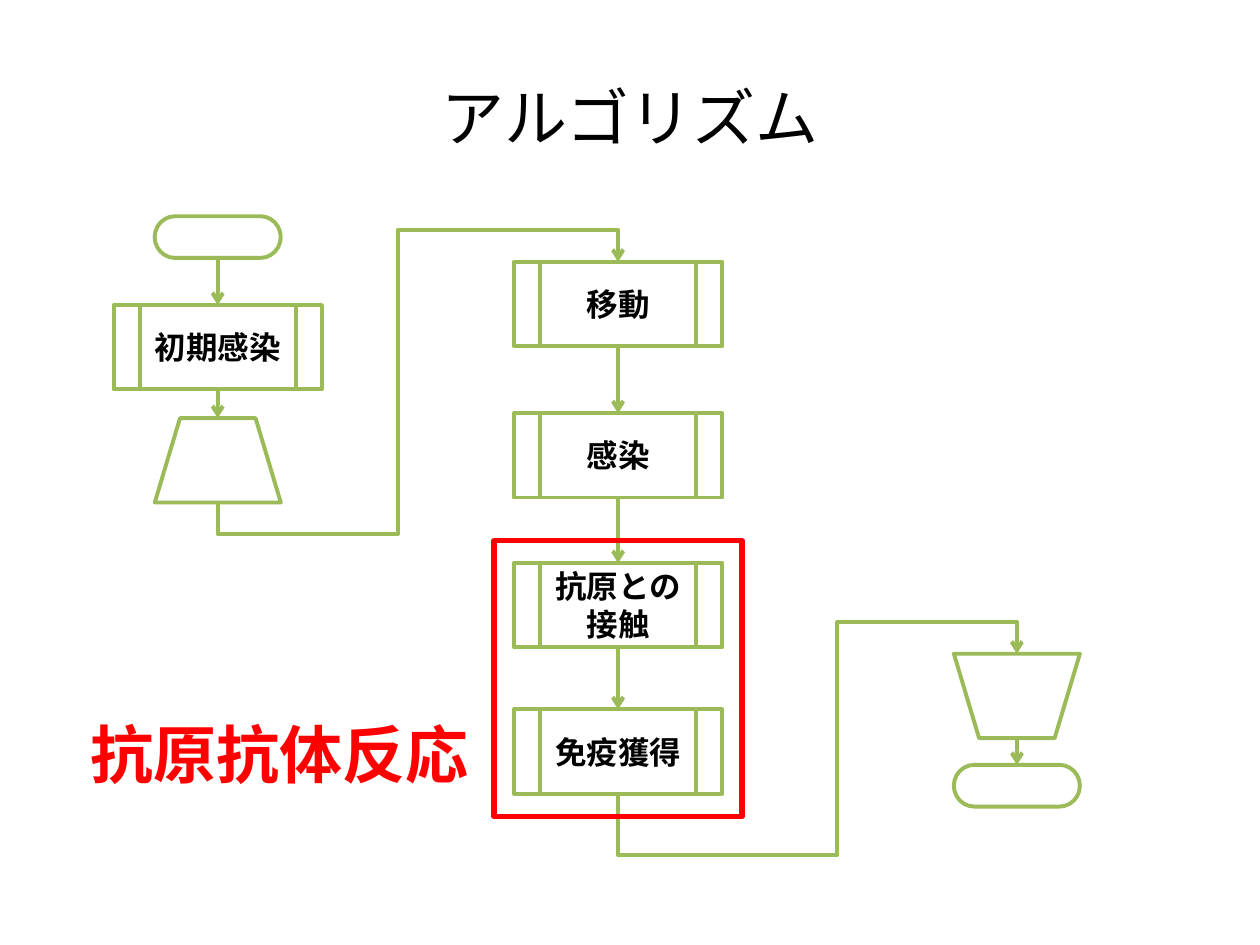
import pptx
import pptx.util
import pptx.dml.color
import pptx.enum.shapes
import pptx.enum.text
import pptx.oxml
import pptx.oxml.ns

Cm, Pt = pptx.util.Cm, pptx.util.Pt
SHAPE = pptx.enum.shapes.MSO_SHAPE
CONNECTOR = pptx.enum.shapes.MSO_CONNECTOR
CENTER = pptx.enum.text.PP_ALIGN.CENTER
MIDDLE = pptx.enum.text.MSO_ANCHOR.MIDDLE

COLORS = {"paper": "FFFFFF", "text": "000000", "flow": "9BBB59", "alert": "FF0000"}
TOP, BOTTOM = 0, 2
LEFT_X, MIDDLE_X, RIGHT_X = 4.39, 12.46, 20.5
PROCESS_SIZE, LOOP_SIZE, TERMINAL_SIZE = (4.2, 1.7), (2.54, 1.7), (2.54, 0.84)


def color(name):
    return pptx.dml.color.RGBColor.from_string(COLORS[name])


def edge_point(shape, side):
    """Point in the middle of the visible top or bottom side."""
    return (shape.left + shape.width // 2,
            shape.top + (shape.height if side == BOTTOM else 0))


def site(shape, side):
    """Connection site for a visible side; a half turn swaps top and bottom."""
    return BOTTOM - side if shape.rotation == 180 else side


class FlowSlide:
    def __init__(self, presentation):
        self.slide = presentation.slides.add_slide(presentation.slide_layouts[5])
        self.line_width = Pt(2.25)

    def add_text(self, frame, text, size, name="text", bold=True, align=CENTER):
        paragraph = frame.paragraphs[0]
        paragraph.alignment = align
        run = paragraph.add_run()
        run.text = text
        font_format = {"name": "Calibri", "size": Pt(size), "bold": bold}
        for attribute, value in font_format.items():
            setattr(run.font, attribute, value)
        run.font.color.rgb = color(name)

    def title(self, text):
        title = self.slide.shapes.title
        place = {"left": Cm(1.27), "top": Cm(0.76), "width": Cm(22.86), "height": Cm(3.18)}
        for attribute, value in place.items():
            setattr(title, attribute, value)
        title.text_frame.vertical_anchor = MIDDLE
        self.add_text(title.text_frame, text, 36, bold=False)

    def box(self, kind, center_x, top, size, text="", rotation=0):
        width, height = size
        shape = self.slide.shapes.add_shape(
            kind, Cm(center_x - width / 2), Cm(top), Cm(width), Cm(height))
        shape.shadow.inherit = False
        shape.rotation = rotation
        shape.fill.solid()
        shape.fill.fore_color.rgb = color("paper")
        shape.line.color.rgb = color("flow")
        shape.line.width = self.line_width
        if text:
            shape.text_frame.vertical_anchor = MIDDLE
            self.add_text(shape.text_frame, text, 18)
        return shape

    def connector(self, kind, source, target):
        start, end = edge_point(source, BOTTOM), edge_point(target, TOP)
        connector = self.slide.shapes.add_connector(kind, *start, *end)
        connector.begin_connect(source, site(source, BOTTOM))
        connector.end_connect(target, site(target, TOP))
        connector.line.color.rgb = color("flow")
        connector.line.width = self.line_width
        properties = connector._element.spPr
        line = properties.find(pptx.oxml.ns.qn("a:ln"))
        line.append(pptx.oxml.parse_xml(
            f'<a:tailEnd {pptx.oxml.ns.nsdecls("a")} type="arrow"/>'))
        properties.append(pptx.oxml.parse_xml(
            f'<a:effectLst {pptx.oxml.ns.nsdecls("a")}/>'))
        return connector, start, end

    def arrow(self, source, target):
        connector, start, end = self.connector(CONNECTOR.STRAIGHT, source, target)
        connector.begin_x, connector.begin_y = start
        connector.end_x, connector.end_y = end

    def riser(self, source, target, drop, bend, rise):
        """Arrow that leaves downwards, climbs to the right and enters from above."""
        connector, start, end = self.connector(CONNECTOR.ELBOW, source, target)
        across, climb = end[0] - start[0], start[1] - end[1]
        place = {"left": (start[0] + end[0] - climb) // 2,
                 "top": (start[1] + end[1] - across) // 2,
                 "width": climb, "height": across}
        for attribute, value in place.items():
            setattr(connector, attribute, value)
        properties = connector._element.spPr
        transform = properties.find(pptx.oxml.ns.qn("a:xfrm"))
        for attribute, value in {"rot": "5400000", "flipH": "1", "flipV": "1"}.items():
            transform.set(attribute, value)
        geometry = properties.find(pptx.oxml.ns.qn("a:prstGeom"))
        geometry.set("prst", "bentConnector5")
        for child in list(geometry):
            geometry.remove(child)
        ratios = (-Cm(drop) / climb, bend, 1 + Cm(rise) / climb)
        guides = "".join(f'<a:gd name="adj{number}" fmla="val {round(ratio * 100000)}"/>'
                         for number, ratio in enumerate(ratios, 1))
        geometry.append(pptx.oxml.parse_xml(
            f'<a:avLst {pptx.oxml.ns.nsdecls("a")}>{guides}</a:avLst>'))

    def frame(self, left, top, width, height):
        shape = self.slide.shapes.add_shape(
            SHAPE.RECTANGLE, Cm(left), Cm(top), Cm(width), Cm(height))
        shape.shadow.inherit = False
        shape.fill.background()
        shape.line.color.rgb = color("alert")
        shape.line.width = Pt(3)

    def label(self, left, top, width, height, text):
        box = self.slide.shapes.add_textbox(Cm(left), Cm(top), Cm(width), Cm(height))
        box.text_frame.word_wrap = False
        box.text_frame.auto_size = pptx.enum.text.MSO_AUTO_SIZE.SHAPE_TO_FIT_TEXT
        self.add_text(box.text_frame, text, 36, "alert", align=pptx.enum.text.PP_ALIGN.LEFT)


def main():
    presentation = pptx.Presentation()
    presentation.slide_width, presentation.slide_height = Cm(25.4), Cm(19.05)
    flow = FlowSlide(presentation)
    flow.title("アルゴリズム")

    process, terminal = SHAPE.FLOWCHART_PREDEFINED_PROCESS, SHAPE.FLOWCHART_TERMINATOR
    loop = SHAPE.FLOWCHART_MANUAL_OPERATION
    start = flow.box(terminal, LEFT_X, 4.36, TERMINAL_SIZE)
    infection = flow.box(process, LEFT_X, 6.15, PROCESS_SIZE, "初期感染")
    loop_start = flow.box(loop, LEFT_X, 8.43, LOOP_SIZE, rotation=180)
    steps = [flow.box(process, MIDDLE_X, top, PROCESS_SIZE, text) for top, text in
             ((5.28, "移動"), (8.33, "感染"), (11.35, "抗原との接触"), (14.3, "免疫獲得"))]
    loop_end = flow.box(loop, RIGHT_X, 13.18, LOOP_SIZE)
    finish = flow.box(terminal, RIGHT_X, 15.42, TERMINAL_SIZE)

    for chain in ([start, infection, loop_start], steps, [loop_end, finish]):
        for source, target in zip(chain, chain[1:]):
            flow.arrow(source, target)
    flow.riser(loop_start, steps[0], drop=0.64, bend=0.45, rise=0.64)
    flow.riser(steps[-1], loop_end, drop=1.24, bend=0.55, rise=0.64)

    flow.frame(9.96, 10.9, 5, 5.56)
    flow.label(1.57, 14.3, 8.2, 1.8, "抗原抗体反応")
    presentation.save("out.pptx")


if __name__ == "__main__":
    main()
